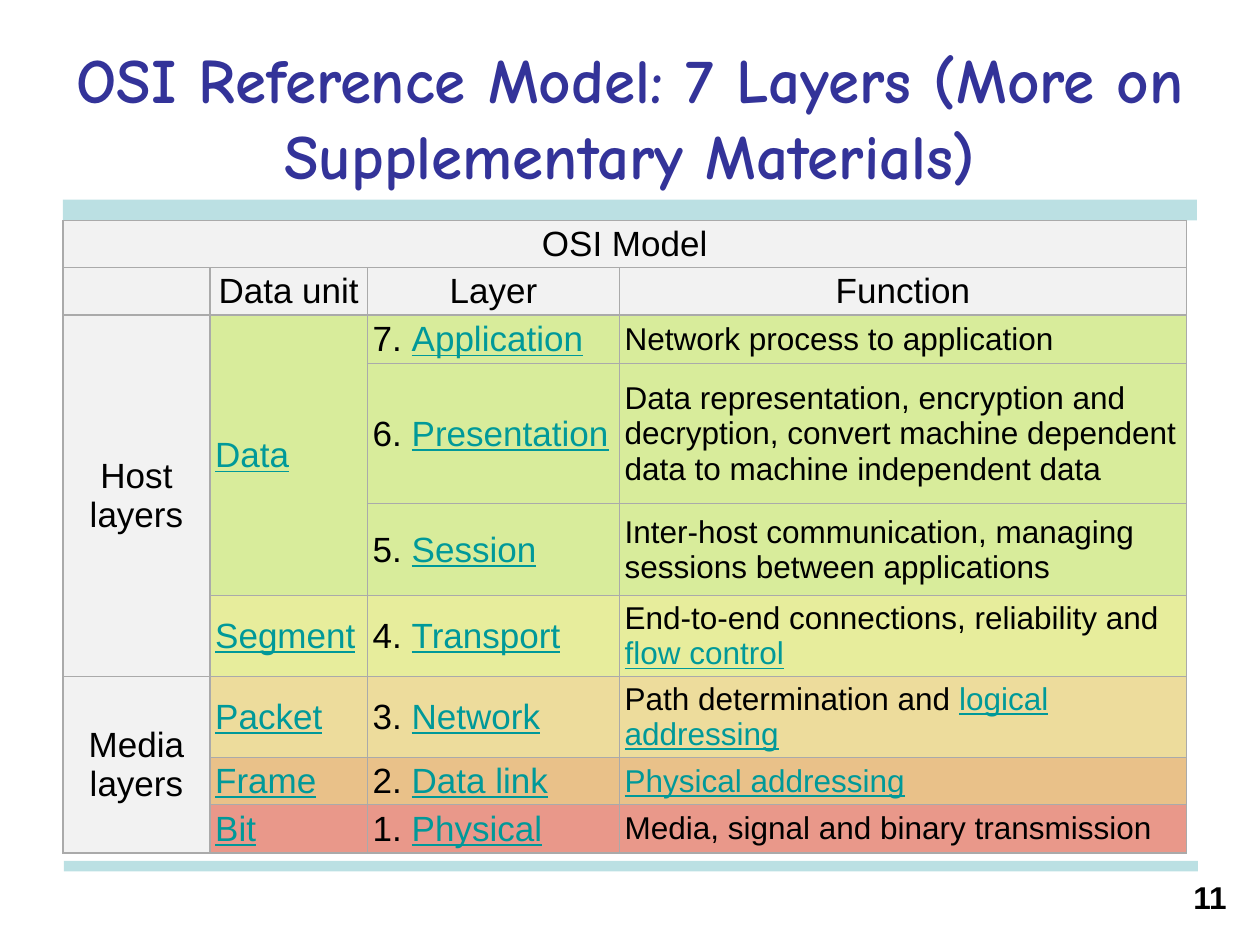
"""Build the slide that tabulates the seven layers of the OSI reference model."""
import dataclasses

import lxml.etree
import pptx
import pptx.dml.color
import pptx.enum.shapes
import pptx.enum.text
import pptx.oxml.ns
import pptx.util

Pt = pptx.util.Pt
ALIGN = pptx.enum.text.PP_ALIGN
ANCHOR = pptx.enum.text.MSO_ANCHOR


@dataclasses.dataclass(frozen=True)
class Theme:
    """Colours, fonts and type sizes of the slide."""
    title: str = "333399"
    text: str = "000000"
    link: str = "009999"
    bar: str = "BBE0E3"
    heading: str = "F2F2F2"
    border: str = "AAAAAA"
    title_font: str = "Comic Neue"
    body_font: str = "Arial"
    title_size: int = 36
    label_size: int = 20
    body_size: int = 18


THEME = Theme()
COLUMN_WIDTHS = (84, 90, 144, 324)
ROW_HEIGHTS = (25.2, 25.6, 28, 80, 52.6, 44.6, 43.4, 25.6, 27.6)
HEADINGS = ("", "Data unit", "Layer", "Function")
GROUPS = (("Host\nlayers", 2, 5), ("Media\nlayers", 6, 8))
UNITS = (("Data", 2, 4), ("Segment", 5, 5), ("Packet", 6, 6), ("Frame", 7, 7), ("Bit", 8, 8))
LAYERS = (
    ("Application", "D8EC9B", "Network process to application", ""),
    ("Presentation", "D8EC9B", "Data representation, encryption and decryption, "
     "convert machine dependent data to machine independent data", ""),
    ("Session", "D8EC9B", "Inter-host communication, managing sessions between applications", ""),
    ("Transport", "E7ED9C", "End-to-end connections, reliability and ", "flow control"),
    ("Network", "EDDC9C", "Path determination and ", "logical addressing"),
    ("Data link", "E9C189", "", "Physical addressing"),
    ("Physical", "E9988A", "Media, signal and binary transmission", ""),
)


def rgb(value):
    """Turn a hex string into a colour."""
    return pptx.dml.color.RGBColor.from_string(value)


def apply(target, values):
    """Set attributes of an object from a dict."""
    for name, value in values.items():
        setattr(target, name, value)


def add_run(paragraph, text, color, **values):
    """Add formatted text, with a line break at each newline."""
    for index, line in enumerate(text.split("\n")):
        if index:
            paragraph.add_line_break()
        run = paragraph.add_run()
        run.text = line
        apply(run.font, values)
        run.font.color.rgb = rgb(color)


def add_bar(slide, left, top, width, height):
    """Add a plain horizontal bar."""
    shape = slide.shapes.add_shape(pptx.enum.shapes.MSO_SHAPE.RECTANGLE,
                                   Pt(left), Pt(top), Pt(width), Pt(height))
    shape.shadow.inherit = False
    shape.fill.solid()
    shape.fill.fore_color.rgb = rgb(THEME.bar)
    shape.line.fill.background()


def add_text(slide, box, text, color, align, anchor, **values):
    """Add a wrapped text box with one paragraph."""
    frame = slide.shapes.add_textbox(*map(Pt, box)).text_frame
    apply(frame, {"word_wrap": True, "vertical_anchor": anchor})
    paragraph = frame.paragraphs[0]
    paragraph.alignment = align
    add_run(paragraph, text, color, bold=True, **values)


def style_cell(cell, fill):
    """Give a cell its margins, borders and fill."""
    apply(cell, {"margin_left": Pt(3), "margin_right": Pt(3), "margin_top": Pt(1.5),
                 "margin_bottom": Pt(1.5), "vertical_anchor": ANCHOR.MIDDLE})
    properties = cell._tc.get_or_add_tcPr()
    qn = pptx.oxml.ns.qn
    for side in ("a:lnL", "a:lnR", "a:lnT", "a:lnB"):
        line = lxml.etree.SubElement(properties, qn(side), w=str(Pt(0.75)))
        solid = lxml.etree.SubElement(line, qn("a:solidFill"))
        lxml.etree.SubElement(solid, qn("a:srgbClr"), val=THEME.border)
    cell.fill.solid()
    cell.fill.fore_color.rgb = rgb(fill)


def write_cell(cell, plain="", link="", size=THEME.label_size, align=ALIGN.LEFT):
    """Write plain text and then link-coloured text into a cell."""
    paragraph = cell.text_frame.paragraphs[0]
    paragraph.alignment = align
    for text, color, underline in ((plain, THEME.text, False), (link, THEME.link, True)):
        if text:
            add_run(paragraph, text, color, size=Pt(size), name=THEME.body_font,
                    underline=underline)


def add_layer_table(slide):
    """Add the table of layer groups, data units, layers and functions."""
    frame = slide.shapes.add_table(len(ROW_HEIGHTS), len(COLUMN_WIDTHS), Pt(36), Pt(126),
                                   Pt(sum(COLUMN_WIDTHS)), Pt(sum(ROW_HEIGHTS)))
    table = frame.table
    apply(table, {"first_row": False, "horz_banding": False})
    for column, width in zip(table.columns, COLUMN_WIDTHS):
        column.width = Pt(width)
    for index, height in enumerate(ROW_HEIGHTS):
        table.rows[index].height = Pt(height)
        for column in range(len(COLUMN_WIDTHS)):
            is_heading = index < 2 or column == 0
            style_cell(table.cell(index, column),
                       THEME.heading if is_heading else LAYERS[index - 2][1])
    table.cell(0, 0).merge(table.cell(0, 3))
    write_cell(table.cell(0, 0), "OSI Model", align=ALIGN.CENTER)
    for column, heading in enumerate(HEADINGS):
        write_cell(table.cell(1, column), heading, align=ALIGN.CENTER)
    for column, spans in enumerate((GROUPS, UNITS)):
        for text, first, last in spans:
            cell = table.cell(first, column)
            if last > first:
                cell.merge(table.cell(last, column))
            if column == 0:
                write_cell(cell, text, align=ALIGN.CENTER)
            else:
                write_cell(cell, link=text)
    for index, (layer, _, plain, link) in enumerate(LAYERS):
        write_cell(table.cell(index + 2, 2), f"{len(LAYERS) - index}. ", layer)
        write_cell(table.cell(index + 2, 3), plain, link, THEME.body_size)


def main():
    """Build and save the presentation."""
    presentation = pptx.Presentation()
    apply(presentation, {"slide_width": Pt(720), "slide_height": Pt(540)})
    slide = presentation.slides.add_slide(presentation.slide_layouts[6])
    add_bar(slide, 36, 114, 648, 12)
    add_bar(slide, 36.5, 492, 648, 6)
    add_text(slide, (36, 21.6, 648, 90),
             "OSI Reference Model: 7 Layers (More on Supplementary Materials)",
             THEME.title, ALIGN.CENTER, ANCHOR.MIDDLE,
             size=Pt(THEME.title_size), name=THEME.title_font)
    add_text(slide, (660, 498, 48, 30), "11", THEME.text, ALIGN.RIGHT, ANCHOR.TOP,
             size=Pt(THEME.body_size), name=THEME.body_font)
    add_layer_table(slide)
    presentation.save("out.pptx")


if __name__ == "__main__":
    main()
